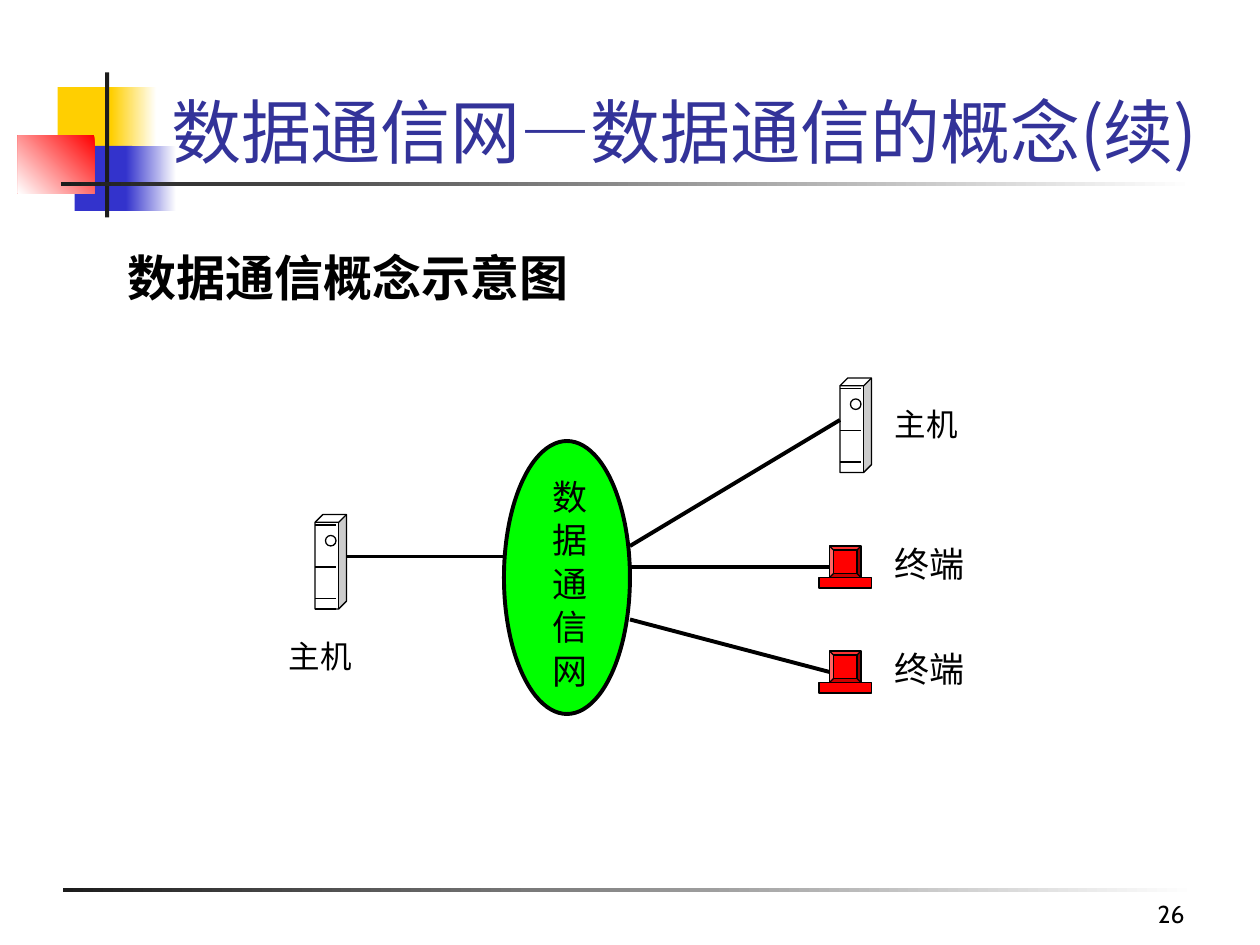
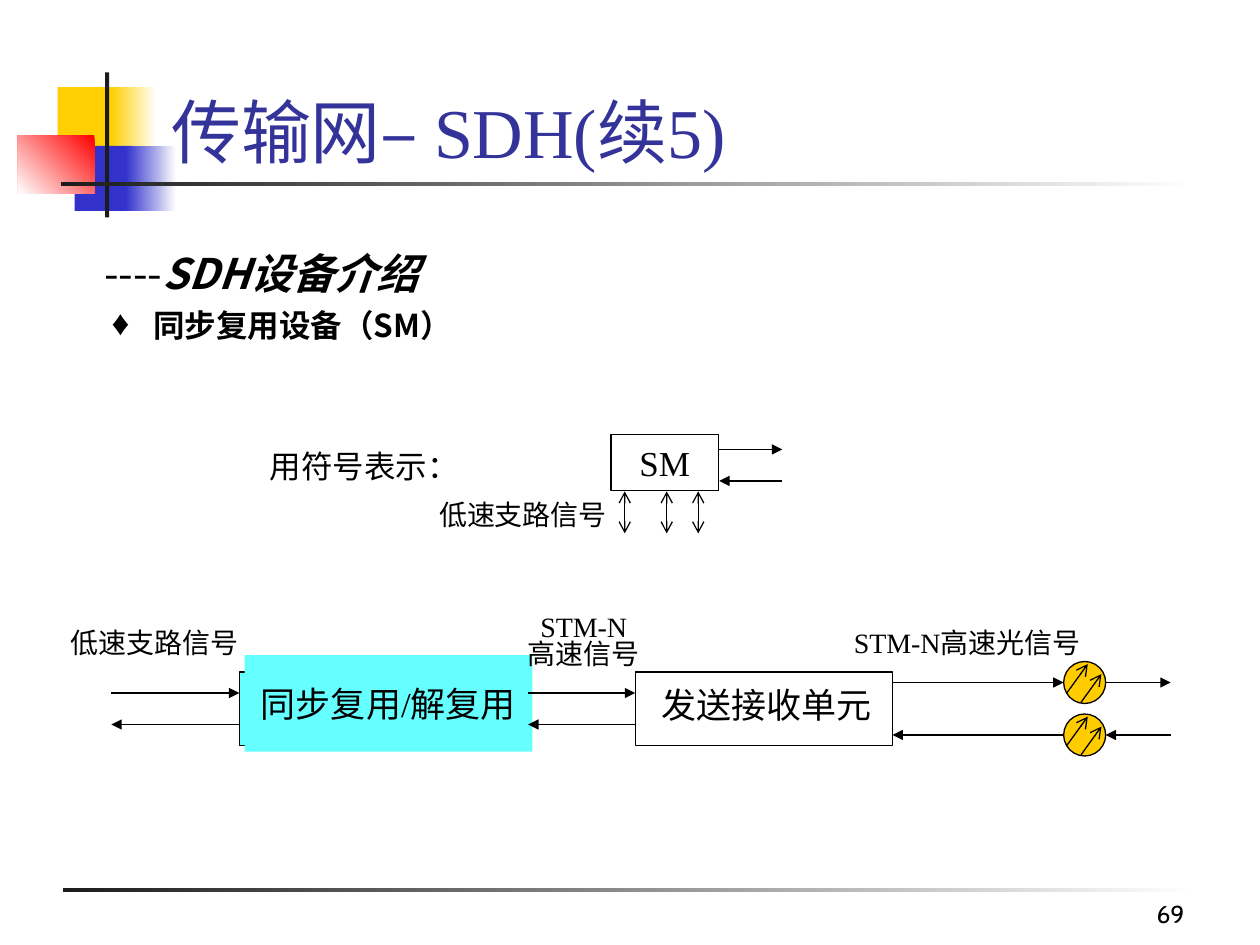
import collections

import lxml.etree
import pptx
import pptx.dml.color
import pptx.enum.shapes
import pptx.enum.text
import pptx.oxml.ns
import pptx.util

RGBColor = pptx.dml.color.RGBColor
SHAPE = pptx.enum.shapes.MSO_SHAPE
ANCHOR = pptx.enum.text.MSO_ANCHOR
ALIGN = pptx.enum.text.PP_ALIGN
qn = pptx.oxml.ns.qn

BLACK = RGBColor(0x00, 0x00, 0x00)
WHITE = RGBColor(0xFF, 0xFF, 0xFF)
CHARCOAL = RGBColor(0x1C, 0x1C, 0x1C)
YELLOW = RGBColor(0xFF, 0xCF, 0x01)
BLUE = RGBColor(0x33, 0x33, 0xCC)
RED = RGBColor(0xFF, 0x00, 0x00)
TITLE_BLUE = RGBColor(0x33, 0x33, 0x99)
GREEN = RGBColor(0x00, 0xFF, 0x00)
CYAN = RGBColor(0x66, 0xFF, 0xFF)
AMBER = RGBColor(0xFF, 0xCC, 0x00)

SERIF = "Times New Roman"
SANS = "Noto Sans CJK SC"
COLUMNS, ROWS = 120, 90
CELL = pptx.util.Inches(10) // COLUMNS

Box = collections.namedtuple("Box", "x y w h")


def inside(box, x, y, w=0, h=0):
    """Return a box placed relative to another box's corner."""
    return Box(box.x + x, box.y + y, w, h)


def cells(*counts):
    """Turn grid counts into lengths."""
    return [pptx.util.Emu(round(n * CELL)) for n in counts]


def move(shape, box):
    """Place a shape on a box of the grid."""
    shape.left, shape.top, shape.width, shape.height = cells(*box)


def shape(s, kind, box, fill=None, line=None, fade=None):
    """Add a preset shape, solid, hollow or fading to white at an angle."""
    sp = s.shapes.add_shape(kind, *cells(*box))
    sp.shadow.inherit = False
    if fade is not None:
        sp.fill.gradient()
        sp.fill.gradient_angle = fade
        for stop, color in zip(sp.fill.gradient_stops, (fill, WHITE)):
            stop.color.rgb = color
    elif fill is not None:
        sp.fill.solid()
        sp.fill.fore_color.rgb = fill
    else:
        sp.fill.background()
    if line:
        sp.line.color.rgb = BLACK
        sp.line.width = pptx.util.Pt(line)
    else:
        sp.line.fill.background()
    return sp


def link(s, box, start, end, width=0.75, head=None, tail=None):
    """Draw a straight line between two points of a box."""
    a, b = inside(box, *start), inside(box, *end)
    c = s.shapes.add_connector(
        pptx.enum.shapes.MSO_CONNECTOR.STRAIGHT, *cells(a.x, a.y, b.x, b.y))
    c.line.color.rgb = BLACK
    c.line.width = pptx.util.Pt(width)
    ln = c.line._get_or_add_ln()
    for tag, kind in (("a:headEnd", head), ("a:tailEnd", tail)):
        if kind:
            lxml.etree.SubElement(ln, qn(tag), type=kind)
    lxml.etree.SubElement(c._element.spPr, qn("a:effectLst"))


def write(tf, lines, size, font=SERIF, color=BLACK, align=ALIGN.CENTER,
          anchor=ANCHOR.MIDDLE, bold=False, spacing=None):
    """Fill a text frame with evenly formatted lines."""
    tf.auto_size = pptx.enum.text.MSO_AUTO_SIZE.NONE
    tf.vertical_anchor = anchor
    tf.text = lines
    for p in tf.paragraphs:
        p.alignment = align
        p.line_spacing = spacing
        p.font.size = pptx.util.Pt(size)
        p.font.name = font
        p.font.bold = bold
        p.font.color.rgb = color


def label(s, box, text, size, **style):
    """Add a text box that does not wrap."""
    sp = s.shapes.add_textbox(*cells(*box))
    write(sp.text_frame, text, size, **style)
    sp.text_frame.word_wrap = False
    return sp


def ornament(s, box):
    """Draw the coloured squares and the cross bar beside the title."""
    for x, y, w, h, color, fade in (
            (3.8, 1.4, 5.8, 6.2, YELLOW, None),
            (8.9, 1.4, 4.3, 6.2, YELLOW, 0),
            (5.4, 7, 5.5, 6.2, BLUE, None),
            (10.3, 7, 4.8, 6.2, BLUE, 0),
            (0, 6, 7.3, 5.5, RED, 225),
            (8.3, 0, 0.4, 13.8, CHARCOAL, None)):
        shape(s, SHAPE.RECTANGLE, inside(box, x, y, w, h), color, fade=fade)


def base_slide(prs, layout, title, font, number):
    """Add a slide with the shared ornament, rules, title and number."""
    s = prs.slides.add_slide(prs.slide_layouts.get_by_name(layout))
    ornament(s, Box(1.7, 6.9, 15, 13.8))
    for x, y in ((5.8, 17.3), (6, 84.55)):
        shape(s, SHAPE.RECTANGLE, Box(x, y, 108, 0.42), CHARCOAL, fade=0)
    move(s.shapes.title, Box(15.1, 3, 102.2, 14))
    write(s.shapes.title.text_frame, title, 40, font, TITLE_BLUE,
          ALIGN.LEFT, ANCHOR.BOTTOM)
    label(s, Box(89, 83, 25, 6), number, 14, font="Cabin",
          align=ALIGN.RIGHT, anchor=ANCHOR.BOTTOM)
    return s


def host(s, box):
    """Draw a tower computer."""
    shape(s, SHAPE.CUBE, box, WHITE, 0.75)
    for row in (1, 5, 8, 9):
        link(s, box, (0, row), (2, row))
    shape(s, SHAPE.OVAL, inside(box, 1, 2, 1, 1), WHITE, 0.75)


def terminal(s, box):
    """Draw a screen on its keyboard."""
    shape(s, SHAPE.BEVEL, inside(box, 1, 0, 3, 3), RED, 0.75)
    shape(s, SHAPE.RECTANGLE, inside(box, 0, 3, 5, 1), RED, 0.75)


def network(s, box):
    """Draw the data network with its hosts and terminals."""
    shape(s, SHAPE.OVAL, inside(box, 24, 6, 12, 26), GREEN, 2.25)
    for x, y in ((6, 13), (56, 0)):
        host(s, inside(box, x, y, 3, 9))
    for y in (16, 26):
        terminal(s, inside(box, 54, y, 5, 4))
        label(s, inside(box, 60, y - 1, 9, 5.3), "终端", 20)
    for x, y in ((2.3, 24.1), (60, 2)):
        label(s, inside(box, x, y, 8.4, 4.8), "主机", 18)
    for start, end in (((9, 17), (24, 17)), ((36, 16), (56, 4)),
                       ((36, 18), (55, 18)), ((36, 23), (55, 28))):
        link(s, box, start, end, 2.25)
    name = label(s, inside(box, 27, 8.5, 6.4, 20.9), "数 据 通 信 网", 20)
    name.text_frame._txBody.bodyPr.set("vert", "eaVert")


def equipment_list(s, box):
    """Fill the body placeholder with the heading and its bullet."""
    body = s.placeholders[1]
    move(body, box)
    tf = body.text_frame
    write(tf, "\n同步复用设备（SM）", 18, SANS, align=ALIGN.LEFT,
          anchor=ANCHOR.TOP, bold=True)
    heading, item = tf.paragraphs
    for p, margin, indent in ((heading, 0.06, 0), (item, 0.45, -0.33)):
        pPr = p._p.get_or_add_pPr()
        pPr.set("marL", str(pptx.util.Inches(margin)))
        pPr.set("indent", str(pptx.util.Inches(indent)))
    heading.space_before = pptx.util.Pt(0)
    heading.font.size = pptx.util.Pt(24)
    heading._p.pPr.insert_element_before(
        lxml.etree.Element(qn("a:buNone")), "a:tabLst", "a:defRPr")
    for text, strong in (("----", False), ("SDH设备介绍", True)):
        r = heading.add_run()
        r.text = text
        r.font.bold = r.font.italic = strong
    item.space_before = pptx.util.Pt(11.2)
    item.line_spacing = 0.65
    for tag, key, value in (("a:buSzPct", "val", "111000"),
                            ("a:buFont", "typeface", "Arial"),
                            ("a:buChar", "char", "♦")):
        bullet = lxml.etree.Element(qn(tag), {key: value})
        item._p.pPr.insert_element_before(bullet, "a:tabLst", "a:defRPr")


def symbol(s, box):
    """Draw the multiplexer symbol with its ports."""
    sm = shape(s, SHAPE.RECTANGLE, inside(box, 34.2, 0.4, 10.2, 5.3), line=0.75)
    write(sm.text_frame, "SM", 20)
    for x in (35.5, 39.5, 42.5):
        link(s, box, (x, 5.8), (x, 9.8), head="arrow", tail="arrow")
    link(s, box, (44.5, 1.8), (50.5, 1.8), tail="triangle")
    link(s, box, (50.5, 4.8), (44.5, 4.8), tail="triangle")
    label(s, inside(box, 16.6, 5.8, 18.4, 4.4), "低速支路信号", 16)
    label(s, inside(box, 0.5, 1, 20.4, 4.8), "用符号表示：", 18)


def optical_port(s, box):
    """Draw a light source or detector as one group."""
    g = s.shapes.add_group_shape()
    shape(g, SHAPE.OVAL, box, AMBER, 0.75)
    for start, end in (((0.3, 3), (2.3, 0.25)), ((1.65, 3.9), (3.6, 1.2))):
        link(g, box, start, end, tail="arrow")


def signal_chain(s, box):
    """Draw the path from tributary signals to the optical line."""
    shape(s, SHAPE.RECTANGLE, inside(box, 17.8, 6, 27.5, 7), CYAN, 0.75)
    mux = shape(s, SHAPE.RECTANGLE, inside(box, 18.3, 4.4, 27.4, 9.2), CYAN)
    write(mux.text_frame, "同步复用/解复用", 20)
    shape(s, SHAPE.RECTANGLE, inside(box, 55.5, 6, 24.5, 7), line=0.75)
    label(s, inside(box, 56.8, 6.4, 22.4, 5.3), "发送接收单元", 20)
    for y in (5, 10):
        optical_port(s, inside(box, 96.3, y, 4, 4))
    for left, right, send, receive in (
            (5.6, 17.8, 8, 11), (45.3, 55.5, 8, 11),
            (80, 96.3, 7, 12), (100.3, 106.5, 7, 12)):
        link(s, box, (left, send), (right, send), tail="triangle")
        link(s, box, (right, receive), (left, receive), tail="triangle")
    label(s, inside(box, 0.5, 1, 18.4, 4.4), "低速支路信号", 16)
    label(s, inside(box, 74.8, 1, 24.6, 4.4), "STM-N高速光信号", 16)
    label(s, inside(box, 44.1, 0, 13, 6.4), "STM-N\n高速信号", 16, spacing=0.8)


def main():
    """Build both slides and save them."""
    prs = pptx.Presentation()
    prs.slide_width, prs.slide_height = cells(COLUMNS, ROWS)

    s = base_slide(prs, "Title Only", "数据通信网—数据通信的概念(续)", SANS, "26")
    label(s, Box(11, 23, 44.3, 6.8), "数据通信概念示意图", 28, bold=True)
    network(s, Box(24, 36, 69, 32))

    s = base_slide(prs, "Title and Content", "传输网– SDH(续5)", SERIF, "69")
    equipment_list(s, Box(8, 23, 102, 54))
    symbol(s, Box(24, 41, 51, 10))
    signal_chain(s, Box(5, 58, 107, 14))

    prs.save("out.pptx")


if __name__ == "__main__":
    main()
